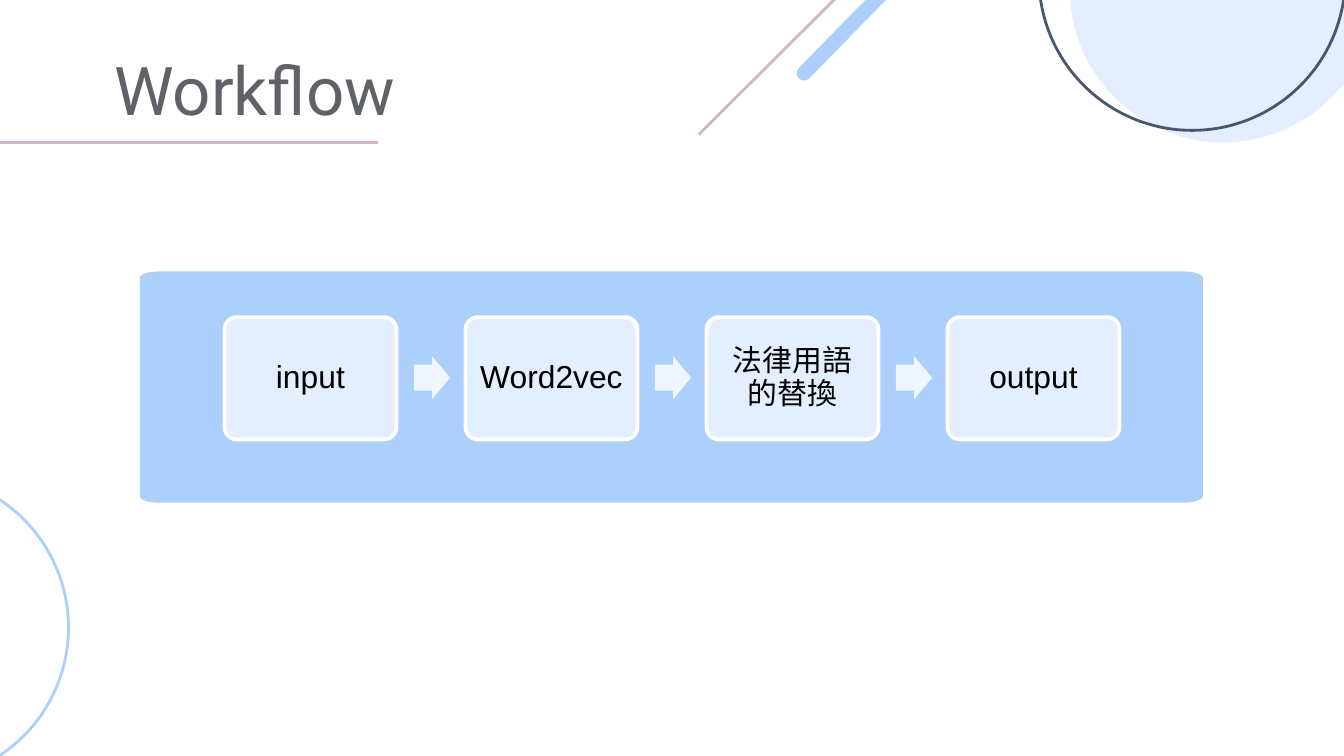
"""Build a slide with a four-step workflow on a blue panel."""
import dataclasses
import math

import lxml.etree
import pptx
import pptx.dml.color
import pptx.enum.shapes
import pptx.enum.text
import pptx.oxml.ns
import pptx.shapes.autoshape
import pptx.slide
import pptx.text.text
import pptx.util

Inches = pptx.util.Inches
Kind = pptx.enum.shapes.MSO_SHAPE
Align = pptx.enum.text.PP_ALIGN
Anchor = pptx.enum.text.MSO_ANCHOR

COLORS = {
    "pale": "E3EFFF",
    "sky": "ACCFFB",
    "slate": "49576E",
    "rose": "D3B5C8",
    "arrow": "EFF6FF",
    "white": "FFFFFF",
    "black": "000000",
    "title": "5F6368",
}


@dataclasses.dataclass
class Box:
    left: float
    top: float
    width: float
    height: float


@dataclasses.dataclass
class Ring:
    left: float
    top: float
    fill: str = ""
    line: str = ""


@dataclasses.dataclass
class Rule:
    start: tuple[float, float]
    end: tuple[float, float]


@dataclasses.dataclass
class Step:
    label: str
    size: int = 17
    face: str = "Arial"


RING_SIZE = 2.28
RINGS = [
    Ring(7.96, -1.22, fill="pale"),
    Ring(7.73, -1.31, line="slate"),
    Ring(-1.77, 3.53, line="sky"),
]
RULES = [Rule((7.38, -1.17), (5.2, 1)), Rule((2.81, 1.06), (-0.55, 1.06))]
STEPS = [
    Step("input"),
    Step("Word2vec"),
    Step("法律用語的替換", 16, "Noto Sans CJK SC"),
    Step("output"),
]
PANEL = Box(1.04, 2.02, 7.91, 1.72)
CARD = Box(1.67, 2.36, 1.28, 0.91)
LAST_LEFT = 7.05
ARROW = Box(3.08, 2.65, 0.27, 0.32)


def rgb(name: str) -> pptx.dml.color.RGBColor:
    """Return a named color."""
    return pptx.dml.color.RGBColor.from_string(COLORS[name])


def paint(shape: pptx.shapes.autoshape.Shape, fill: str = "", line: str = "",
          weight: float = 1.5) -> None:
    """Set fill and outline, and drop the shadow."""
    shape.shadow.inherit = False
    if fill:
        shape.fill.solid()
        shape.fill.fore_color.rgb = rgb(fill)
    else:
        shape.fill.background()
    if line:
        shape.line.color.rgb = rgb(line)
        shape.line.width = pptx.util.Pt(weight)
    else:
        shape.line.fill.background()


def add_shape(slide: pptx.slide.Slide, kind: Kind, box: Box,
              *adjust: float) -> pptx.shapes.autoshape.Shape:
    """Add a preset shape with its adjustments."""
    shape = slide.shapes.add_shape(kind, Inches(box.left), Inches(box.top),
                                   Inches(box.width), Inches(box.height))
    for index, value in enumerate(adjust):
        shape.adjustments[index] = value
    return shape


def add_rule(slide: pptx.slide.Slide, rule: Rule) -> None:
    """Add a thin rose line."""
    ends = [Inches(value) for value in (*rule.start, *rule.end)]
    line = slide.shapes.add_connector(
        pptx.enum.shapes.MSO_CONNECTOR.STRAIGHT, *ends)
    line.line.color.rgb = rgb("rose")
    line.line.width = pptx.util.Pt(1.5)
    lxml.etree.SubElement(line._element.spPr,
                          pptx.oxml.ns.qn("a:effectLst"))


def add_panel(slide: pptx.slide.Slide, box: Box) -> None:
    """Add a panel with wide, shallow round corners."""
    wide, tall = 0.14, 0.05
    right, low = box.left + box.width, box.top + box.height
    hubs = [(right - wide, low - tall), (box.left + wide, low - tall),
            (box.left + wide, box.top + tall), (right - wide, box.top + tall)]
    points = []
    for turn, (x, y) in enumerate(hubs):
        for part in range(9):
            angle = math.radians(90 * turn + 90 * part / 8)
            points.append((Inches(x + wide * math.cos(angle)),
                           Inches(y + tall * math.sin(angle))))
    pen = slide.shapes.build_freeform(*points[0])
    pen.add_line_segments(points[1:], close=True)
    paint(pen.convert_to_shape(), "sky")


def style(para: pptx.text.text._Paragraph, size: int, face: str,
          color: str) -> None:
    """Set the font of a paragraph for Latin and East Asian text."""
    para.font.size = pptx.util.Pt(size)
    para.font.name = face
    para.font.color.rgb = rgb(color)
    props = para._p.pPr.find(pptx.oxml.ns.qn("a:defRPr"))
    lxml.etree.SubElement(props, pptx.oxml.ns.qn("a:ea"), typeface=face)


def add_card(slide: pptx.slide.Slide, step: Step, left: float) -> None:
    """Add one labelled step."""
    box = dataclasses.replace(CARD, left=left)
    card = add_shape(slide, Kind.ROUNDED_RECTANGLE, box, 0.1)
    paint(card, "pale", "white", 2)
    frame = card.text_frame
    frame.word_wrap = True
    frame.vertical_anchor = Anchor.MIDDLE
    frame.margin_left = frame.margin_right = Inches(0.07)
    frame.margin_top = frame.margin_bottom = Inches(0.07)
    para = frame.paragraphs[0]
    para.text = step.label
    para.alignment = Align.CENTER
    para.line_spacing = 0.9
    style(para, step.size, step.face, "black")


def add_title(slide: pptx.slide.Slide, text: str) -> None:
    """Fill and place the title."""
    title = slide.shapes.title
    title.left, title.top = Inches(0.75), Inches(0.48)
    title.width, title.height = Inches(5.83), Inches(0.58)
    frame = title.text_frame
    frame.auto_size = pptx.enum.text.MSO_AUTO_SIZE.NONE
    frame.vertical_anchor = Anchor.BOTTOM
    frame.margin_left = frame.margin_right = Inches(0.1)
    frame.margin_top = frame.margin_bottom = Inches(0.1)
    para = frame.paragraphs[0]
    para.text = text
    para.alignment = Align.LEFT
    style(para, 36, "Roboto", "title")


def main() -> None:
    """Draw the slide and save it."""
    deck = pptx.Presentation()
    deck.slide_width = Inches(10)
    deck.slide_height = Inches(10 * 9 / 16)
    slide = deck.slides.add_slide(deck.slide_layouts[5])
    add_title(slide, "Workflow")
    for ring in RINGS:
        box = Box(ring.left, ring.top, RING_SIZE, RING_SIZE)
        paint(add_shape(slide, Kind.OVAL, box), ring.fill, ring.line)
    bar = add_shape(slide, Kind.ROUND_2_SAME_RECTANGLE,
                    Box(6.64, -1.26, 0.11, 2.15), 0.5, 0)
    bar.rotation = 224.3
    paint(bar, "sky")
    for rule in RULES:
        add_rule(slide, rule)
    add_panel(slide, PANEL)
    pitch = (LAST_LEFT - CARD.left) / (len(STEPS) - 1)
    for index, step in enumerate(STEPS):
        add_card(slide, step, CARD.left + index * pitch)
        if index < len(STEPS) - 1:
            box = dataclasses.replace(ARROW, left=ARROW.left + index * pitch)
            paint(add_shape(slide, Kind.RIGHT_ARROW, box, 0.6, 0.5), "arrow")
    deck.save("out.pptx")


if __name__ == "__main__":
    main()
